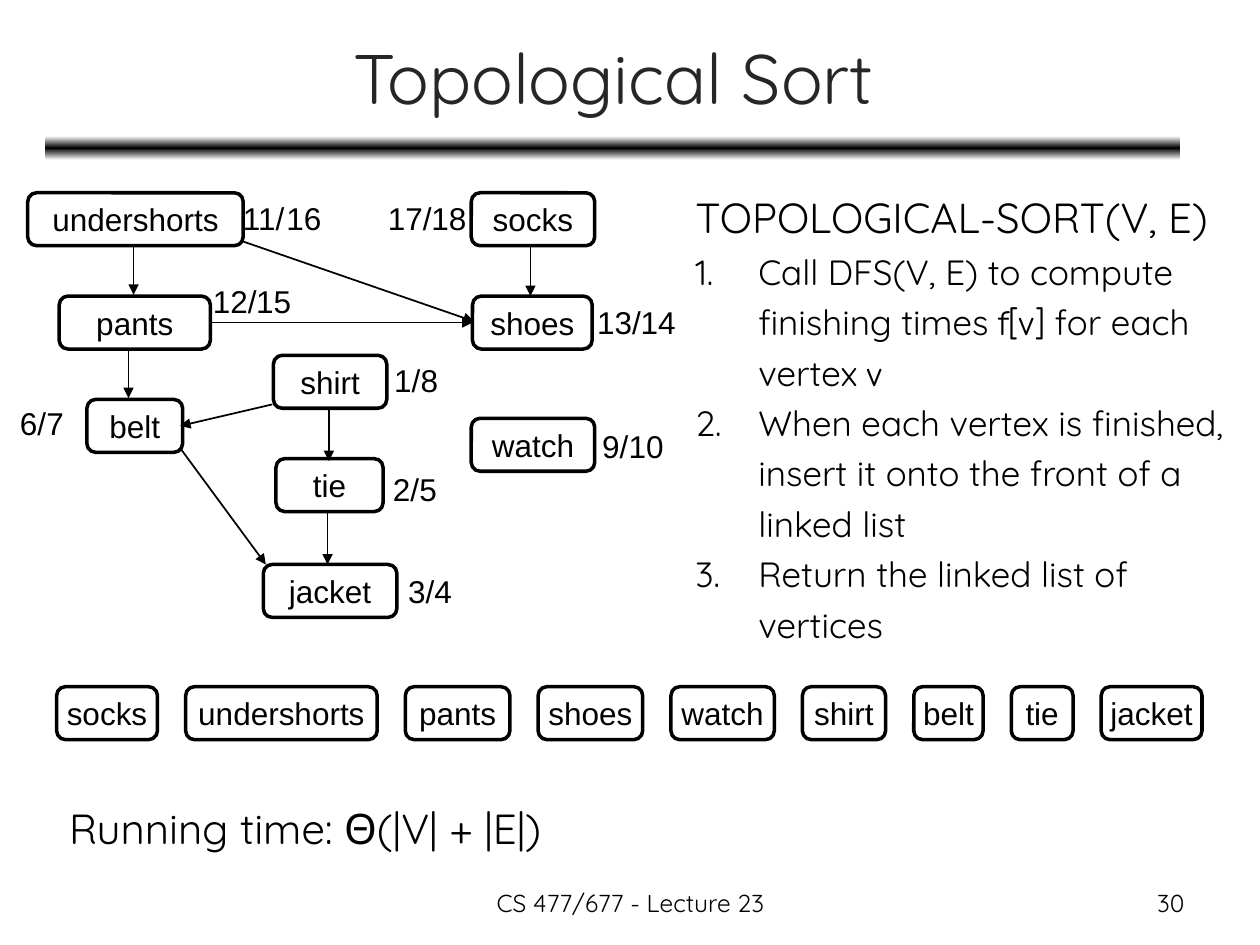
"""Build the Topological Sort lecture slide."""
from dataclasses import dataclass

from lxml import etree
from pptx import Presentation
from pptx import util as u
from pptx.dml.color import RGBColor
from pptx.enum import shapes, text
from pptx.oxml import ns

COLUMNS, ROWS = 100, 75
CELL = u.Inches(10) / COLUMNS
NODE_HEIGHT = 4.2


@dataclass(frozen=True)
class Theme:
    """Colours, fonts and sizes of the slide."""
    ink: str = "000000"
    title_ink: str = "262626"
    paper: str = "FFFFFF"
    body_font: str = "Quicksand"
    label_font: str = "Arial"
    symbol_font: str = "Comic Neue"
    title: int = 40
    heading: int = 24
    body: int = 20
    label: int = 18
    footer: int = 14
    outline: int = 2
    arrow: int = 1


@dataclass(frozen=True)
class Box:
    """A rectangle measured in grid columns and rows."""
    left: float
    top: float
    width: float
    height: float

    def inner(self, left, top, width, height):
        """Return a box offset from this one's corner."""
        return Box(self.left + left, self.top + top, width, height)

    def point(self, x, y):
        """Return a position in this box as slide lengths."""
        return round((self.left + x) * CELL), round((self.top + y) * CELL)

    def lengths(self):
        """Return left, top, width and height as slide lengths."""
        return [round(v * CELL) for v in (self.left, self.top, self.width, self.height)]


THEME = Theme()
ALIGN = text.PP_ALIGN

NODES = {
    "undershorts": (2.2, 0, 17.1), "pants": (4.7, 8.2, 12), "belt": (6.9, 16.4, 7.6),
    "socks": (37.4, 0, 9.8), "shoes": (37.5, 8.2, 9.5), "watch": (37.4, 17.9, 9.8),
    "shirt": (21.7, 12.9, 9), "tie": (21.9, 21.1, 8.5), "jacket": (20.9, 29.5, 10.6),
}
EDGES = [
    (19.1, 3.8, 37.6, 10.2), (16.6, 10.3, 37.5, 10.3), (26.1, 17.1, 26.1, 21.3),
    (26, 25.4, 26, 29.5), (21.6, 16.8, 14.3, 18.5), (14.4, 20.4, 21.1, 29.5),
    (42.1, 4.3, 42.1, 8.2), (10.6, 4.2, 10.6, 8.1), (10.2, 12.4, 10.2, 16.3),
]
TIMES = [
    ("11/", "16", 18.3, 0), ("12/", "15", 15.9, 6.6), ("6/", "7", 0.6, 16.3),
    ("17/", "18", 29.8, 0), ("13/", "14", 46.4, 8.3), ("9/", "10", 46.8, 18.1),
    ("1/", "8", 30.3, 12.9), ("2/", "5", 30.2, 21.5), ("3/", "4", 31.4, 29.6),
]
ORDER = [
    ("socks", 8), ("undershorts", 15.2), ("pants", 8.3), ("shoes", 8.3), ("watch", 8.2),
    ("shirt", 6.6), ("belt", 5.5), ("tie", 4.9), ("jacket", 8),
]
STEPS = [
    ["Call DFS(V, E) to compute finishing times ", "f[v]", " for each vertex ", "v"],
    ["When each vertex is finished, insert it onto the front of a linked list"],
    ["Return the linked list of vertices"],
]


def style(run, size, font=THEME.body_font, color=THEME.ink):
    """Set the size, font and colour of a run."""
    run.font.size = u.Pt(size)
    run.font.name = font
    run.font.color.rgb = RGBColor.from_string(color)


def fill_text(shape, words, size, font=THEME.body_font, align=ALIGN.LEFT,
              middle=False, wrap=True, color=THEME.ink):
    """Write a single formatted line into a shape."""
    frame = shape.text_frame
    frame.text = words
    frame.word_wrap = wrap
    frame.vertical_anchor = text.MSO_ANCHOR.MIDDLE if middle else text.MSO_ANCHOR.TOP
    paragraph = frame.paragraphs[0]
    paragraph.alignment = align
    style(paragraph.runs[0], size, font, color)


def add_label(slide, box, words, size, **options):
    """Add a text box holding one line."""
    fill_text(slide.shapes.add_textbox(*box.lengths()), words, size, **options)


def add_round_box(slide, box):
    """Add a rounded rectangle without a shadow."""
    kind = shapes.MSO_SHAPE.ROUNDED_RECTANGLE
    shape = slide.shapes.add_shape(kind, *box.lengths())
    shape.shadow.inherit = False
    return shape


def add_node(slide, box, name):
    """Add an outlined vertex with its name."""
    shape = add_round_box(slide, box)
    shape.fill.background()
    shape.line.color.rgb = RGBColor.from_string(THEME.ink)
    shape.line.width = u.Pt(THEME.outline)
    fill_text(shape, name, THEME.label, font=THEME.label_font,
              align=ALIGN.CENTER, middle=True, wrap=False)


def add_arrow(slide, start, end):
    """Add a thin line with an arrowhead at its end."""
    arrow = slide.shapes.add_connector(shapes.MSO_CONNECTOR.STRAIGHT, *start, *end)
    arrow.line.color.rgb = RGBColor.from_string(THEME.ink)
    arrow.line.width = u.Pt(THEME.arrow)
    etree.SubElement(arrow.line._get_or_add_ln(), ns.qn("a:tailEnd"), type="triangle")
    etree.SubElement(arrow._element.spPr, ns.qn("a:effectLst"))


def add_header(slide, box):
    """Place the title above its gradient rule."""
    add_label(slide, box.inner(0.1, 0, 90, 9.9), "Topological Sort", THEME.title,
              align=ALIGN.CENTER, middle=True, color=THEME.title_ink)
    rule = add_round_box(slide, box.inner(0, 9.7, 90.1, 1.9))
    rule.line.fill.background()
    rule.fill.gradient()
    rule.fill.gradient_angle = 90
    stops = rule.fill._fill._gradFill.gsLst
    for stop in list(stops):
        stops.remove(stop)
    for share, color in ((0, THEME.paper), (50, THEME.ink), (100, THEME.paper)):
        stop = etree.SubElement(stops, ns.qn("a:gs"), pos=str(share * 1000))
        etree.SubElement(stop, ns.qn("a:srgbClr"), val=color)


def add_graph(slide, box):
    """Place the clothing graph with its discovery and finishing times."""
    for name, (left, top, width) in NODES.items():
        add_node(slide, box.inner(left, top, width, NODE_HEIGHT), name)
    for x1, y1, x2, y2 in EDGES:
        add_arrow(slide, box.point(x1, y1), box.point(x2, y2))
    for found, finished, left, top in TIMES:
        digits = len(found) - 1
        shift = 0.75 + 1.35 * digits
        spots = ((found, left, 2.7 + 1.4 * digits),
                 (finished, left + shift, 2 + 1.4 * len(finished)))
        for words, x, width in spots:
            add_label(slide, box.inner(x, top, width, 4), words, THEME.label,
                      font=THEME.label_font, wrap=False)


def add_algorithm(slide, box):
    """Place the algorithm heading and its numbered steps."""
    frame = slide.shapes.add_textbox(*box.lengths()).text_frame
    frame.word_wrap = True
    for index, parts in enumerate([["TOPOLOGICAL-SORT(V, E)"], *STEPS]):
        paragraph = frame.add_paragraph() if index else frame.paragraphs[0]
        paragraph.line_spacing = 1.2
        properties = paragraph._p.get_or_add_pPr()
        properties.set("marL", str(u.Inches(0.5)))
        properties.set("indent", str(-u.Inches(0.5)))
        if index:
            etree.SubElement(properties, ns.qn("a:buAutoNum"), type="arabicPeriod")
        for position, words in enumerate(parts):
            run = paragraph.add_run()
            run.text = words
            font = THEME.symbol_font if position % 2 else THEME.body_font
            style(run, THEME.body if index else THEME.heading, font)


def add_sorted_row(slide, box):
    """Place the sorted vertices in a row with equal gaps."""
    gap = (box.width - sum(width for _, width in ORDER)) / (len(ORDER) - 1)
    left = 0
    for name, width in ORDER:
        add_node(slide, box.inner(left, 0, width, box.height), name)
        left += width + gap


def add_footer(slide, box):
    """Place the running time, the course line and the slide number."""
    add_label(slide, box.inner(0, 0, 47.7, 5), "Running time: Θ(|V| + |E|)", THEME.heading)
    add_label(slide, box.inner(29.7, 6.8, 31.7, 3.5), "CS 477/677 - Lecture 23",
              THEME.footer, align=ALIGN.CENTER)
    add_label(slide, box.inner(67.2, 6.8, 23.3, 3.5), "30", THEME.footer, align=ALIGN.RIGHT)


def main():
    """Build and save the presentation."""
    presentation = Presentation()
    presentation.slide_width = round(COLUMNS * CELL)
    presentation.slide_height = round(ROWS * CELL)
    slide = presentation.slides.add_slide(presentation.slide_layouts[6])
    add_header(slide, Box(3.6, 1.1, 90.1, 11.6))
    add_graph(slide, Box(0, 15.3, 54, 33.7))
    add_algorithm(slide, Box(54.2, 13.9, 44.8, 38.2))
    add_sorted_row(slide, Box(4.5, 54.5, 90.9, NODE_HEIGHT))
    add_footer(slide, Box(4.5, 63.2, 90.5, 10.3))
    presentation.save("out.pptx")


if __name__ == "__main__":
    main()
